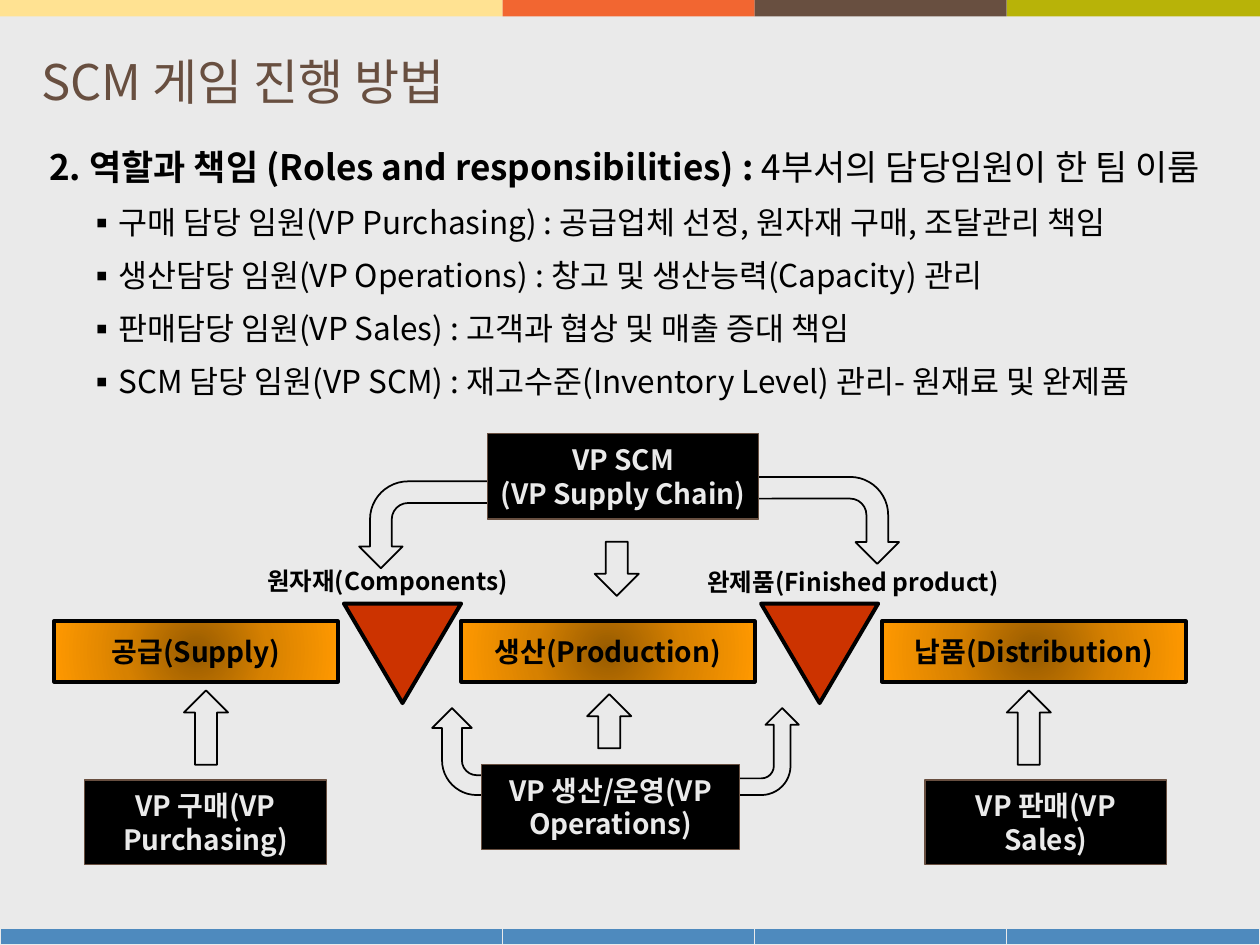
from lxml import etree
from pptx import Presentation
from pptx import util as u
from pptx.dml.color import RGBColor
from pptx.enum import shapes, text
from pptx.oxml import parse_xml
from pptx.oxml.ns import qn

HUES = {
    "paper": "EAEAEA", "ink": "000000", "brown": "684F40", "blue": "4E8ABE",
    "cream": "FFE292", "coral": "F26631", "olive": "B8B308", "red": "CC3300",
    "dark": "975B00", "amber": "D78100", "gold": "FF9900",
}
FONT = "Noto Sans CJK KR"
NS = "http://schemas.openxmlformats.org/drawingml/2006/main"
KIND = shapes.MSO_SHAPE


def hue(name):
    return RGBColor.from_string(HUES[name])


def write(para, words, size=16, color="ink", bold=False, align=None):
    para.alignment = align
    for num, part in enumerate(words.split("\n")):
        if num:
            para.add_line_break()
        run = para.add_run()
        run.text = part
        run.font.size = u.Pt(size)
        run.font.bold = bold
        run.font.name = FONT
        run.font.color.rgb = hue(color)
        face = etree.SubElement(run.font._element, qn("a:ea"))
        face.set("typeface", FONT)


class Deck:
    """Hold the style and the current slide."""

    def __init__(self):
        self.show = Presentation()
        self.show.slide_width = u.Inches(10)
        self.show.slide_height = u.Inches(7.5)
        self.slide = self.show.slides.add_slide(self.show.slide_layouts[6])
        back = self.slide.background.fill
        back.solid()
        back.fore_color.rgb = hue("paper")

    def paint(self, shape, fill, line=None, width=1):
        shape.shadow.inherit = False
        shape.fill.solid()
        shape.fill.fore_color.rgb = hue(fill)
        if line:
            shape.line.color.rgb = hue(line)
            shape.line.width = u.Pt(width)
        else:
            shape.line.fill.background()
        return shape

    def form(self, kind, spot, fill, line=None, width=1):
        shape = self.slide.shapes.add_shape(kind, *map(u.Inches, spot))
        return self.paint(shape, fill, line, width)

    def label(self, shape, words, color):
        frame = shape.text_frame
        frame.word_wrap = True
        frame.vertical_anchor = text.MSO_ANCHOR.MIDDLE
        write(frame.paragraphs[0], words, color=color, bold=True,
              align=text.PP_ALIGN.CENTER)

    def role(self, words, spot):
        self.label(self.form(KIND.RECTANGLE, spot, "ink", "brown", 0), words, "paper")

    def stage(self, words, left, wide):
        shape = self.form(KIND.RECTANGLE, (left, 4.93, wide, 0.48), "gold", "ink", 2.25)
        stops = "".join(
            f'<a:gs pos="{pos}"><a:srgbClr val="{HUES[name]}"/></a:gs>'
            for pos, name in ((0, "dark"), (50000, "amber"), (100000, "gold")))
        glow = parse_xml(
            f'<a:gradFill xmlns:a="{NS}" rotWithShape="1"><a:gsLst>{stops}</a:gsLst>'
            '<a:path path="circle"><a:fillToRect l="50000" t="50000" r="50000" b="50000"/>'
            '</a:path></a:gradFill>')
        props = shape.element.spPr
        props.replace(props.find(qn("a:solidFill")), glow)
        self.label(shape, words, "ink")

    def arrow(self, kind, spot, turn=0, flip=""):
        shape = self.form(kind, spot, "paper", "ink")
        shape.rotation = turn
        for axis in flip:
            shape.element.spPr.get_or_add_xfrm().set("flip" + axis, "1")

    def stock(self, left):
        top, wide, high = 4.79, 0.93, 0.79
        pen = self.slide.shapes.build_freeform(u.Inches(left), u.Inches(top))
        pen.add_line_segments([
            (u.Inches(left + wide), u.Inches(top)),
            (u.Inches(left + wide / 2), u.Inches(top + high))])
        self.paint(pen.convert_to_shape(), "red", "ink", 2.25)

    def box(self, spot, inset=0):
        frame = self.slide.shapes.add_textbox(*map(u.Inches, spot)).text_frame
        frame.word_wrap = True
        frame.margin_left = frame.margin_right = u.Inches(inset)
        frame.margin_top = frame.margin_bottom = u.Inches(inset / 2)
        return frame

    def note(self, words, spot):
        write(self.box(spot).paragraphs[0], words, size=14, bold=True,
              align=text.PP_ALIGN.CENTER)

    def title(self, words):
        frame = self.box((0.23, 0.02, 9.77, 1.25), 0.1)
        frame.vertical_anchor = text.MSO_ANCHOR.MIDDLE
        write(frame.paragraphs[0], words, size=28, color="brown")

    def body(self, head, tail, items):
        frame = self.box((0.39, 1.07, 9.8, 2.95))
        para = frame.paragraphs[0]
        para.line_spacing = u.Pt(30)
        write(para, head, size=20, bold=True)
        write(para, tail, size=20)
        for item in items:
            para = frame.add_paragraph()
            para.line_spacing = u.Pt(30)
            para.space_before = u.Pt(0.3)
            props = para._p.get_or_add_pPr()
            props.set("marL", str(u.Inches(0.5)))
            props.set("indent", str(u.Inches(-0.2)))
            etree.SubElement(props, qn("a:buFont")).set("typeface", FONT)
            etree.SubElement(props, qn("a:buChar")).set("char", "▪")
            write(para, item, size=18)


def main():
    deck = Deck()
    bands = ((0, 3.99, "cream"), (3.99, 2, "coral"), (5.99, 2, "brown"), (7.99, 2.01, "olive"))
    for left, wide, tone in bands:
        deck.form(KIND.RECTANGLE, (left, 7.37, wide, 0.13), "blue", "paper", 0.75)
        deck.form(KIND.RECTANGLE, (left, 0, wide, 0.13), tone)

    deck.title("SCM 게임 진행 방법")
    deck.body("2. 역할과 책임 (Roles and responsibilities) : ", "4부서의 담당임원이 한 팀 이룸", (
        "구매 담당 임원(VP Purchasing) : 공급업체 선정, 원자재 구매, 조달관리 책임",
        "생산담당 임원(VP Operations) : 창고 및 생산능력(Capacity) 관리",
        "판매담당 임원(VP Sales) : 고객과 협상 및 매출 증대 책임",
        "SCM 담당 임원(VP SCM) : 재고수준(Inventory Level) 관리- 원재료 및 완제품"))

    for left in (2.73, 6.04):
        deck.stock(left)
    deck.note("완제품(Finished product)", (5.39, 4.5, 2.76, 0.24))
    deck.note("원자재(Components)", (1.55, 4.49, 3.05, 0.24))
    deck.stage("공급(Supply)", 0.43, 2.25)
    deck.stage("생산(Production)", 3.66, 2.33)
    deck.stage("납품(Distribution)", 7, 2.41)

    for spot, turn, flip in (
            ((5.98, 3.32, 0.69, 1.62), 90, ""),
            ((3.05, 3.62, 0.69, 1.09), 270, "H"),
            ((5.73, 5.7, 0.69, 0.53), 270, "V"),
            ((3.4, 5.65, 0.69, 0.63), 90, "HV")):
        deck.arrow(KIND.BENT_ARROW, spot, turn, flip)
    for left, top, high, flip in (
            (4.72, 4.3, 0.43, ""), (4.66, 5.51, 0.43, "V"),
            (7.99, 5.48, 0.59, "V"), (1.46, 5.48, 0.59, "V")):
        deck.arrow(KIND.DOWN_ARROW, (left, top, 0.35, high), flip=flip)

    deck.role("VP 구매(VP Purchasing)", (0.67, 6.19, 1.92, 0.67))
    deck.role("VP 판매(VP Sales)", (7.34, 6.19, 1.92, 0.67))
    deck.role("VP SCM\n(VP Supply Chain)", (3.87, 3.44, 2.15, 0.68))
    deck.role("VP 생산/운영(VP Operations)", (3.82, 6.07, 2.05, 0.67))
    deck.show.save("out.pptx")


if __name__ == "__main__":
    main()
